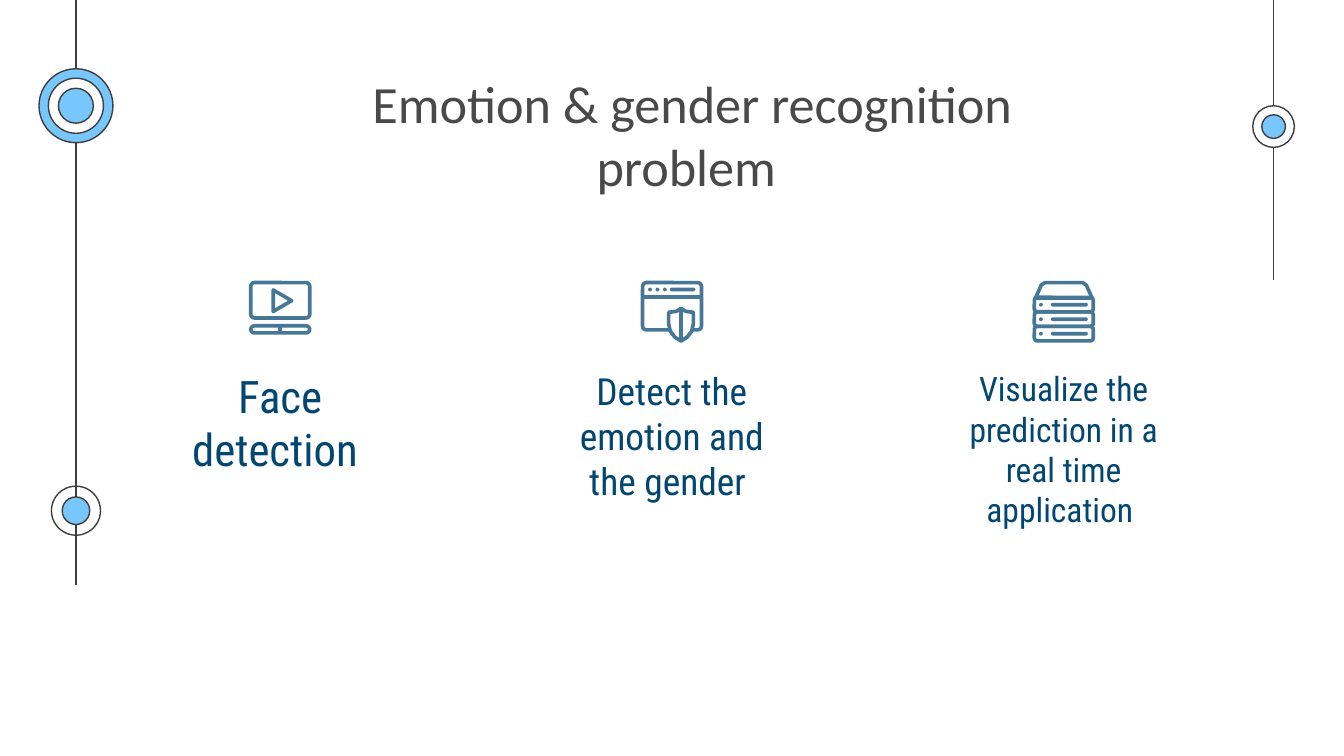
"""Build the emotion and gender slide on a grid of 100 columns, 0.1 inch per cell."""

from dataclasses import dataclass
from typing import Optional

from lxml.etree import SubElement
from pptx import Presentation
from pptx.dml.color import RGBColor
from pptx.enum.shapes import MSO_CONNECTOR, MSO_SHAPE
from pptx.enum.text import MSO_ANCHOR, PP_ALIGN
from pptx.oxml.ns import qn
from pptx.util import Inches, Pt

COLS, ROWS = 100, 56.25
HUE = {"ink": "3D3D3D", "sky": "77C6FC", "white": "FFFFFF",
       "title": "494949", "navy": "034672", "steel": "477797"}
TOP = 20.9
MID, PITCH = 50, 29.15
PEN = 1.95
HALF = 2.19

deck = Presentation()
deck.slide_width, deck.slide_height = Inches(COLS / 10), Inches(ROWS / 10)
slide = deck.slides.add_slide(deck.slide_layouts[6])
shapes = slide.shapes


@dataclass
class Rail:
    col: float
    end: float


@dataclass
class Disc:
    col: float
    row: float
    size: float
    fill: Optional[str]


@dataclass
class Task:
    text: str
    size: int
    high: float


def cell(count: float) -> int:
    """Turn grid cells into a length."""
    return Inches(round(count / 10, 4))


def style(shape, fill: Optional[str], line: Optional[str], width: float) -> None:
    """Set fill and outline and drop the shadow."""
    shape.shadow.inherit = False
    if fill:
        shape.fill.solid()
        shape.fill.fore_color.rgb = RGBColor.from_string(HUE[fill])
    else:
        shape.fill.background()
    if line:
        shape.line.color.rgb = RGBColor.from_string(HUE[line])
        shape.line.width = Pt(width)
    else:
        shape.line.fill.background()


def rule(x: float, y: float, x2: float, y2: float, hue: str, width: float) -> None:
    """Draw a straight line."""
    line = shapes.add_connector(MSO_CONNECTOR.STRAIGHT, cell(x), cell(y), cell(x2), cell(y2))
    line.line.color.rgb = RGBColor.from_string(HUE[hue])
    line.line.width = Pt(width)
    SubElement(line._element.spPr, qn("a:effectLst"))


def draw_disc(disc: Disc) -> None:
    """Draw a thin-edged circle about its centre."""
    left, top = disc.col - disc.size / 2, disc.row - disc.size / 2
    shape = shapes.add_shape(MSO_SHAPE.OVAL, cell(left), cell(top), cell(disc.size), cell(disc.size))
    style(shape, disc.fill, "ink", 0.75)


def frame(x: float, y: float, wide: float, high: float, curve: float) -> None:
    """Draw an outlined round box of an icon."""
    shape = shapes.add_shape(MSO_SHAPE.ROUNDED_RECTANGLE, cell(x), cell(TOP + y), cell(wide), cell(high))
    shape.adjustments[0] = curve
    style(shape, None, "steel", PEN)


def pill(x: float, y: float, wide: float = 0.28) -> None:
    """Draw a filled bar or dot centred on row y."""
    high = 0.28
    shape = shapes.add_shape(MSO_SHAPE.ROUNDED_RECTANGLE, cell(x), cell(TOP + y - high / 2), cell(wide), cell(high))
    shape.adjustments[0] = 0.5
    style(shape, "steel", None, 0)


def trace(x: float, points: list[tuple[float, float]], fill: Optional[str] = None) -> None:
    """Draw a closed outline about column x."""
    spots = [(cell(x + dx), cell(TOP + dy)) for dx, dy in points]
    maker = shapes.build_freeform(*spots[0])
    maker.add_line_segments(spots[1:], close=True)
    style(maker.convert_to_shape(), fill, "steel", PEN)


def laptop(x: float) -> None:
    """Draw the video screen icon."""
    frame(x - HALF, 0.13, 2 * HALF, 2.63, 0.1)
    trace(x, [(-0.52, 0.68), (0.85, 1.48), (-0.52, 2.28)])
    frame(x - HALF, 3.34, 2 * HALF, 0.53, 0.5)
    rule(x, TOP + 3.34, x, TOP + 3.87, "steel", PEN)


def browser(x: float) -> None:
    """Draw the window and shield icon."""
    frame(x - HALF, 0.13, 2 * HALF, 3.52, 0.08)
    rule(x - HALF, TOP + 1.22, x + HALF, TOP + 1.22, "steel", PEN)
    for step in range(3):
        pill(x - 1.77 + step * 0.55, 0.64)
    pill(x - 0.15, 0.64, 1.89)
    axis = 0.67
    side = [(0, 2.05), (0.35, 2.27), (0.92, 2.34), (0.92, 3.2), (0.8, 3.75), (0.45, 4.2), (0, 4.48)]
    trace(x, [(axis + dx, y) for dx, y in side] + [(axis - dx, y) for dx, y in side[-2:0:-1]], "white")
    rule(x + axis, TOP + 2.05, x + axis, TOP + 4.48, "steel", PEN)


def server(x: float) -> None:
    """Draw the server stack icon."""
    lid = [(2.1, 1.27), (1.68, 0.32), (1.4, 0.13)]
    trace(x, [(-dx, y) for dx, y in lid] + lid[::-1])
    high = 1.08
    for tier in range(3):
        top = 1.23 + tier * high
        frame(x - HALF, top, 2 * HALF, high, 0.2)
        pill(x - 1.84, top + high / 2)
        pill(x - 0.95, top + high / 2, 2.74)


def write(text: str, *, x: float, y: float, wide: float, high: float,
          size: int, font: str, hue: str) -> None:
    """Place centred text in a box."""
    box = shapes.add_textbox(cell(x), cell(y), cell(wide), cell(high)).text_frame
    box.word_wrap = True
    box.vertical_anchor = MSO_ANCHOR.TOP
    box.margin_left = box.margin_right = box.margin_top = box.margin_bottom = cell(1)
    para = box.paragraphs[0]
    para.alignment = PP_ALIGN.CENTER
    run = para.add_run()
    run.text = text
    run.font.size, run.font.name = Pt(size), font
    run.font.color.rgb = RGBColor.from_string(HUE[hue])


def main() -> None:
    """Draw every part and save the deck."""
    left, right = Rail(5.65, 43.5), Rail(94.76, 20.8)
    for rail in (left, right):
        rule(rail.col, 0, rail.col, rail.end, "ink", 0.75)
    discs = [
        Disc(left.col, 38, 3.65, None), Disc(left.col, 38, 2.05, "sky"),
        Disc(right.col, 9.42, 3.1, "white"), Disc(right.col, 9.42, 1.75, "sky"),
        Disc(left.col, 7.87, 5.5, "sky"), Disc(left.col, 7.87, 4.1, "white"),
        Disc(left.col, 7.87, 2.6, "sky"),
    ]
    for disc in discs:
        draw_disc(disc)

    write("Emotion & gender recognition problem ", x=21, y=4.3, wide=61, high=6.5,
          size=28, font="Calibri", hue="title")
    tasks = [
        Task("Face detection ", 24, 10.8),
        Task("Detect the emotion and the gender ", 20, 12.4),
        Task("Visualize the prediction in a real time application ", 18, 13.6),
    ]
    wide = 19.3
    for place, (task, icon) in enumerate(zip(tasks, (laptop, browser, server))):
        x = MID + (place - 1) * PITCH
        write(task.text, x=x - wide / 2, y=26.4, wide=wide, high=task.high,
              size=task.size, font="Roboto Condensed", hue="navy")
        icon(x)
    deck.save("out.pptx")


if __name__ == "__main__":
    main()
